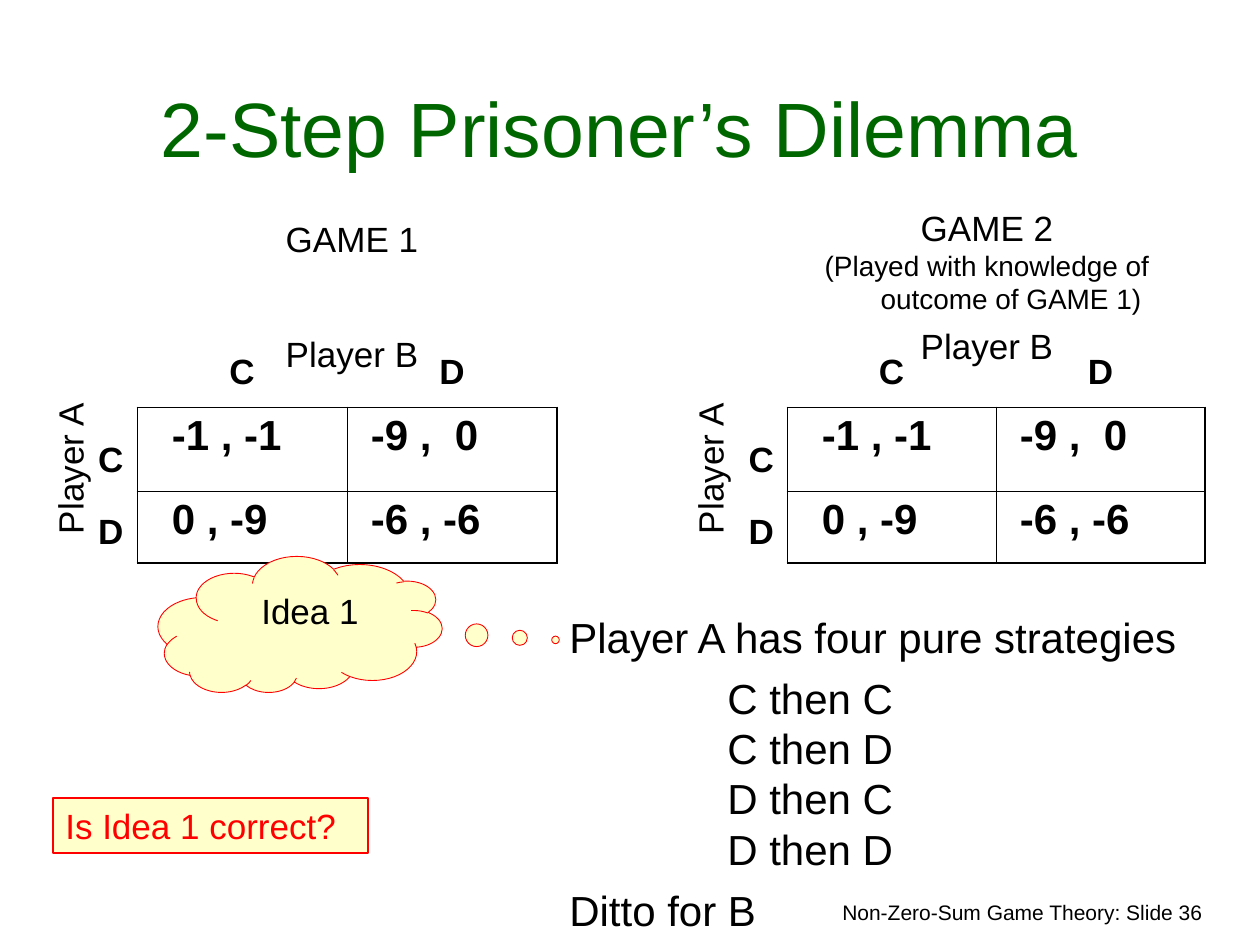
import pptx
import pptx.util
import pptx.oxml.ns
import pptx.dml.color
import pptx.enum.text
import pptx.enum.shapes
import lxml.etree

PX = 914400 // 126
RGB = pptx.dml.color.RGBColor
BLACK = RGB(0, 0, 0)
GREEN = RGB(0, 0x66, 0)
RED = RGB(0xFF, 0, 0)
CREAM = RGB(0xFF, 0xFF, 0xCC)
Pt = pptx.util.Pt
qn = pptx.oxml.ns.qn
ALIGN = pptx.enum.text.PP_ALIGN
LEFT, MID, RIGHT = ALIGN.LEFT, ALIGN.CENTER, ALIGN.RIGHT
SHAPE = pptx.enum.shapes.MSO_SHAPE


def write(frame, lines, color=BLACK, bold=False, lead=1.2):
    frame.word_wrap = True
    for i, (text, size, align, gap, margin, indent) in enumerate(lines):
        para = frame.paragraphs[0] if i == 0 else frame.add_paragraph()
        para.alignment = align
        para.space_before = Pt(gap)
        if lead:
            para.line_spacing = Pt(size * lead)
        props = para._p.get_or_add_pPr()
        props.set("marL", str(margin * PX))
        props.set("indent", str(indent * PX))
        run = para.add_run()
        run.text = text
        run.font.name = "Arial"
        run.font.size = Pt(size)
        run.font.bold = bold
        run.font.color.rgb = color


def edge(cell, side, width):
    line = lxml.etree.SubElement(cell._tc.get_or_add_tcPr(), qn("a:ln" + side))
    if width:
        line.set("w", str(Pt(width)))
        fill = lxml.etree.SubElement(line, qn("a:solidFill"))
        lxml.etree.SubElement(fill, qn("a:srgbClr")).set("val", str(BLACK))
    else:
        line.set("w", "0")
        lxml.etree.SubElement(line, qn("a:noFill"))


deck = pptx.Presentation()
deck.slide_width = 1260 * PX
deck.slide_height = 945 * PX
slide = deck.slides.add_slide(deck.slide_layouts[6])
shapes = slide.shapes

title = [("2-Step Prisoner’s Dilemma", 44, MID, 0, 0, 0)]
foot = [("Non-Zero-Sum Game Theory: Slide 36", 12, RIGHT, 0, 0, 0)]
plans = [("Player A has four pure strategies", 24, LEFT, 0, 48, -48)]
for i, plan in enumerate(["C then C", "C then D", "D then C", "D then D"]):
    plans.append((plan, 24, LEFT, 0 if i else 6, 158, 0))
plans.append(("Ditto for B", 24, LEFT, 6, 48, -48))
first = [
    ("GAME 1", 20, MID, 0, 48, -48),
    ("Player B", 20, MID, 42, 48, -48),
]
second = [
    ("GAME 2", 20, MID, 0, 48, -48),
    ("(Played with knowledge of outcome of GAME 1)", 16, MID, 0, 48, -48),
    ("Player B", 20, MID, 5, 48, -48),
]
side = [("Player A", 20, LEFT, 0, 48, -48)]

for x, y, w, h, lines, color, turn in [
    (721, 893, 494, 38, foot, BLACK, 0),
    (32, 32, 1176, 147, title, GREEN, 0),
    (557, 605, 656, 341, plans, BLACK, 0),
    (158, 211, 388, 170, first, BLACK, 0),
    (798, 200, 378, 173, second, BLACK, 0),
    (-77, 372, 294, 55, side, BLACK, 270),
    (563, 372, 294, 55, side, BLACK, 270),
]:
    box = shapes.add_textbox(x * PX, y * PX, w * PX, h * PX)
    box.rotation = turn
    if lines is title:
        box.text_frame.vertical_anchor = pptx.enum.text.MSO_ANCHOR.BOTTOM
    write(box.text_frame, lines, color)

grid = [
    ["", "C", "D"],
    ["C", "-1 , -1", "-9 ,  0"],
    ["D", "0 , -9", "-6 , -6"],
]
highs = [60, 84, 72]
tops = [6, 34, 22]
pads = [13, 35, 24]
for x, wides in [(84, [53, 210, 210]), (735, [52, 209, 209])]:
    table = shapes.add_table(
        3, 3, x * PX, 347 * PX, sum(wides) * PX, sum(highs) * PX
    ).table
    table.first_row = table.horz_banding = False
    for r in range(3):
        table.rows[r].height = highs[r] * PX
        for c in range(3):
            table.columns[c].width = wides[c] * PX
            cell = table.cell(r, c)
            body = r > 0 and c > 0
            edge(cell, "L", 0.45 if body else 0)
            edge(cell, "R", (1.08 if c == 2 else 0.45) if r else 0)
            edge(cell, "T", 0.45 if body else 0)
            edge(cell, "B", (1.08 if r == 2 else 0.45) if c else 0)
            cell.fill.background()
            cell.margin_left = (pads[c] if body else 13) * PX
            cell.margin_top = (6 if body else tops[r]) * PX
            if grid[r][c]:
                size, align = (24, LEFT) if body else (20, MID)
                line = (grid[r][c], size, align, 0, 0, 0)
                write(cell.text_frame, [line], bold=True, lead=None)

for kind, x, y, w, h, wide, text, align, color in [
    (SHAPE.CLOUD_CALLOUT, 158, 557, 284, 136, 0.5, "Idea 1", MID, BLACK),
    (SHAPE.RECTANGLE, 53, 798, 315, 55, 1, "Is Idea 1 correct?", LEFT, RED),
]:
    note = shapes.add_shape(kind, x * PX, y * PX, w * PX, h * PX)
    note.shadow.inherit = False
    note.fill.solid()
    note.fill.fore_color.rgb = CREAM
    note.line.color.rgb = RED
    note.line.width = Pt(wide)
    note.text_frame.vertical_anchor = pptx.enum.text.MSO_ANCHOR.TOP
    write(note.text_frame, [(text, 20, align, 0, 48, -48)], color)
    if kind == SHAPE.CLOUD_CALLOUT:
        note.adjustments[0] = -0.9
        note.adjustments[1] = -0.11
        frame = note._element.spPr.find(qn("a:xfrm"))
        frame.set("flipH", "1")
        frame.set("flipV", "1")
        note.text_frame._txBody.find(qn("a:bodyPr")).set("rot", "10800000")

deck.save("out.pptx")
